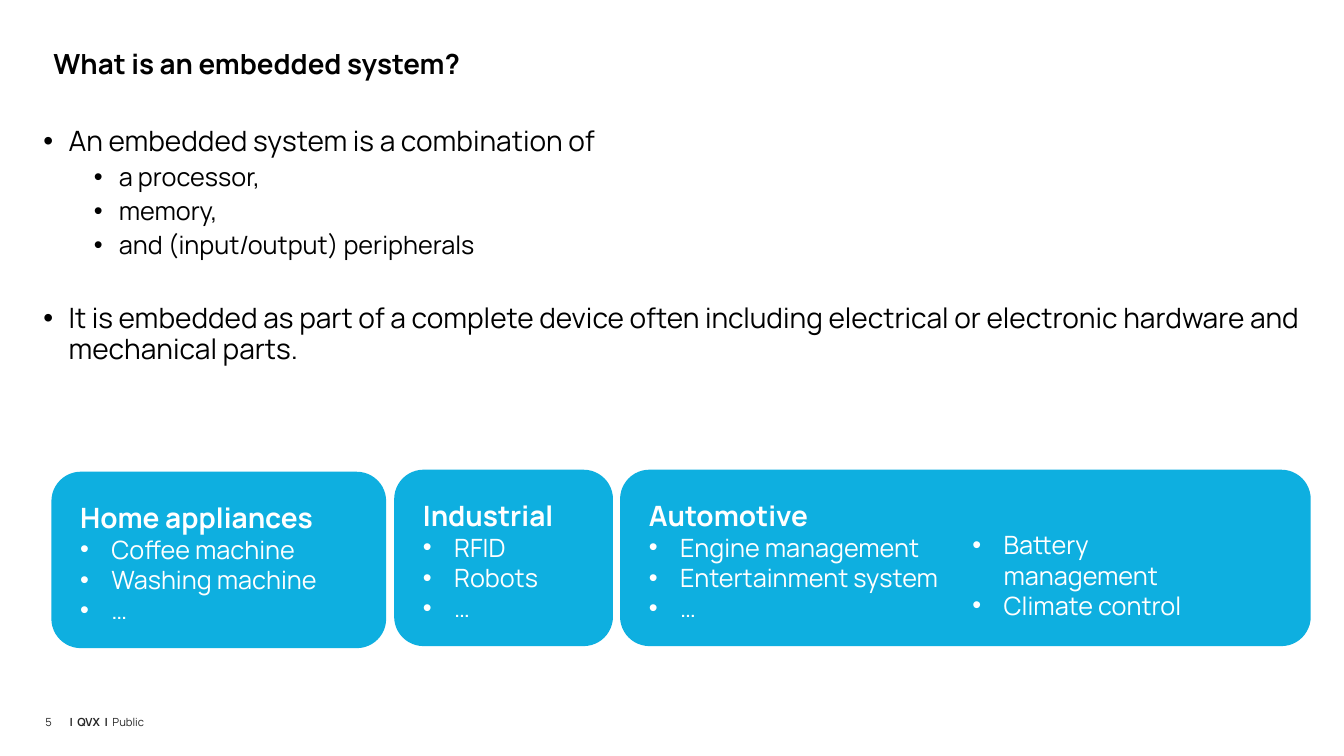
import pptx
import pptx.util
import pptx.dml.color
import pptx.enum.shapes
import pptx.enum.text
import pptx.oxml.ns
from dataclasses import dataclass
from lxml import etree
from pptx.util import Inches, Pt

TITLE = "What is an embedded system?"
# (level, space before in points, text)
STATEMENTS = [
    (0, 0, "An embedded system is a combination of"),
    (1, 5, "a processor,"),
    (1, 5, "memory,"),
    (1, 5, "and (input/output) peripherals"),
    (0, 32, "It is embedded as part of a complete device often including "
            "electrical or electronic hardware and mechanical parts."),
]
# (left, top, width, height), heading, examples
FIELDS = [
    ((0.51, 4.68, 3.32, 1.75), "Home appliances",
     ["Coffee machine", "Washing machine", "…"]),
    ((3.91, 4.66, 2.17, 1.75), "Industrial", ["RFID", "Robots", "…"]),
    ((6.15, 4.66, 6.85, 1.75), "Automotive",
     ["Engine management", "Entertainment system", "…"]),
    ((9.39, 5, 3.17, 1.12), None, ["Battery management", "Climate control"]),
]
# (left, top, width, height), runs as (text, bold)
FOOTERS = [
    ((0.69, 7, 4.44, 0.19), [("|  QVX  |  ", True), ("Public", False)]),
    ((0.45, 7, 0.18, 0.19), [("5", False)]),
]


@dataclass(frozen=True)
class Theme:
    font: str = "Manrope"
    ink: str = "000000"
    footer_ink: str = "262626"
    card: str = "0EAFE0"
    card_ink: str = "FFFFFF"
    title_size: float = 19.8
    statement_sizes: tuple = (20, 18)
    heading_size: float = 20
    example_size: float = 18
    footer_size: float = 8


THEME = Theme()


def rgb(code):
    return pptx.dml.color.RGBColor.from_string(code)


def place(shape, box):
    shape.left, shape.top, shape.width, shape.height = map(Inches, box)


def prepare(frame, inset=None):
    """Wrap text from the top, at a fixed size; inset in inches."""
    frame.word_wrap = True
    frame.auto_size = pptx.enum.text.MSO_AUTO_SIZE.NONE
    frame.vertical_anchor = pptx.enum.text.MSO_ANCHOR.TOP
    if inset is not None:
        frame.margin_left = frame.margin_right = Inches(inset)
        frame.margin_top = frame.margin_bottom = Inches(inset)


def next_paragraph(frame, first):
    paragraph = frame.paragraphs[0] if first else frame.add_paragraph()
    paragraph.alignment = pptx.enum.text.PP_ALIGN.LEFT
    return paragraph


def add_run(paragraph, text, size, color, bold=False):
    run = paragraph.add_run()
    run.text = text
    run.font.name = THEME.font
    run.font.size = Pt(size)
    run.font.bold = bold
    run.font.color.rgb = rgb(color)


def add_bullet(paragraph, left, hanging):
    properties = paragraph._p.get_or_add_pPr()
    properties.set("marL", str(Inches(left)))
    properties.set("indent", str(-Inches(hanging)))
    for tag, key, value in (("a:buFont", "typeface", "Arial"),
                            ("a:buChar", "char", "•")):
        etree.SubElement(properties, pptx.oxml.ns.qn(tag)).set(key, value)


def add_title(slide):
    title = slide.shapes.title
    place(title, (0.43, 0.45, 12.5, 0.72))
    prepare(title.text_frame)
    paragraph = next_paragraph(title.text_frame, True)
    paragraph.line_spacing = 0.9
    add_run(paragraph, TITLE, THEME.title_size, THEME.ink, True)


def add_statements(slide):
    body = slide.placeholders[1]
    place(body, (0.43, 1.26, 12.5, 5.1))
    prepare(body.text_frame, 0)
    for index, (level, before, text) in enumerate(STATEMENTS):
        paragraph = next_paragraph(body.text_frame, index == 0)
        paragraph.level = level
        add_bullet(paragraph, 0.25 + 0.5 * level, 0.25)
        paragraph.line_spacing = 0.9
        paragraph.space_before = Pt(before)
        add_run(paragraph, text, THEME.statement_sizes[level], THEME.ink)


def add_field(slide, box, heading, examples):
    card = slide.shapes.add_shape(
        pptx.enum.shapes.MSO_SHAPE.ROUNDED_RECTANGLE, *map(Inches, box))
    card.shadow.inherit = False
    card.fill.solid()
    card.fill.fore_color.rgb = rgb(THEME.card)
    card.line.fill.background()
    prepare(card.text_frame, 0.2)
    if heading:
        add_run(next_paragraph(card.text_frame, True), heading,
                THEME.heading_size, THEME.card_ink, True)
    for index, example in enumerate(examples):
        paragraph = next_paragraph(card.text_frame, index == 0 and not heading)
        add_bullet(paragraph, 0.31, 0.31)
        add_run(paragraph, example, THEME.example_size, THEME.card_ink)


def add_footer(slide, box, runs):
    footer = slide.shapes.add_textbox(*map(Inches, box))
    prepare(footer.text_frame, 0)
    paragraph = next_paragraph(footer.text_frame, True)
    paragraph.line_spacing = Pt(16.8)
    for text, bold in runs:
        add_run(paragraph, text, THEME.footer_size, THEME.footer_ink, bold)


def main():
    deck = pptx.Presentation()
    deck.slide_width, deck.slide_height = Inches(13.33), Inches(7.5)
    slide = deck.slides.add_slide(deck.slide_layouts[1])
    add_title(slide)
    add_statements(slide)
    for field in FIELDS:
        add_field(slide, *field)
    for footer in FOOTERS:
        add_footer(slide, *footer)
    deck.save("out.pptx")


if __name__ == "__main__":
    main()
